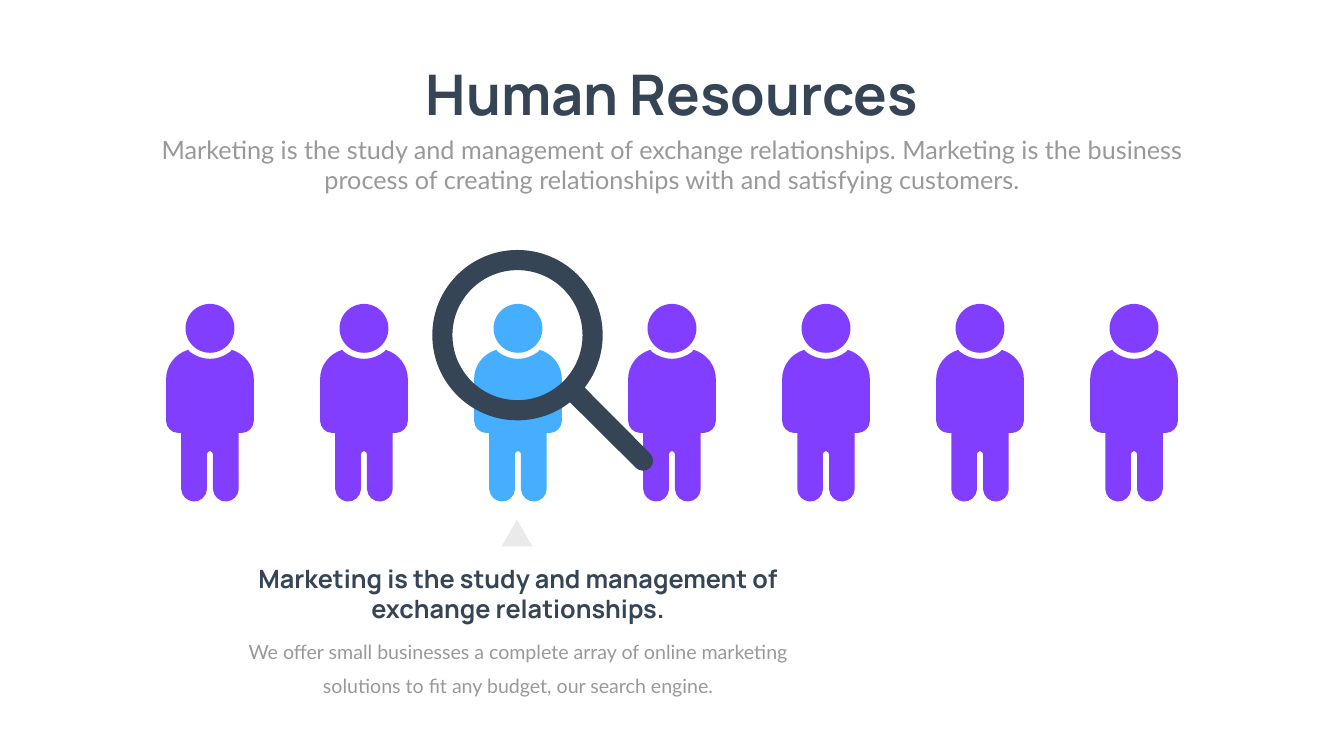
"""Build the Human Resources slide: a row of people with one under a magnifier."""
from dataclasses import dataclass
from itertools import pairwise
from math import cos, radians, sin, tan

from lxml.etree import Element
from pptx import Presentation
from pptx.dml.color import RGBColor
from pptx.enum.shapes import MSO_SHAPE as Preset
from pptx.enum.text import MSO_AUTO_SIZE as AutoSize, PP_ALIGN as Align
from pptx.oxml.ns import qn
from pptx.util import Inches, Pt

Point = tuple[float, float]
Segment = list[Point]

COLORS = {"navy": "364556", "gray": "999999", "purple": "823EFE", "blue": "45AEFF", "pale": "EAEAEA"}
WIDTH, HEIGHT = 26.66, 15
COLUMN, ROW = WIDTH / 100, HEIGHT / 100
PITCH = 3.055
PEOPLE = range(-3, 4)
CHOSEN = -1
PEOPLE_TOP = 40.2 * ROW
HEAD_SIZE = 0.97

BODY_HALF = [
    [(0, 1.09)],
    [(0.14, 1.09), (0.28, 1.04), (0.4, 0.95)],
    [(0.43, 0.91)],
    [(0.69, 0.99), (0.87, 1.22), (0.87, 1.49)],
    [(0.87, 2.32)],
    [(0.87, 2.45), (0.76, 2.56), (0.63, 2.56)],
    [(0.57, 2.56)],
    [(0.57, 3.68)],
    [(0.56, 3.81), (0.46, 3.91), (0.33, 3.92)],
    [(0.19, 3.93), (0.07, 3.82), (0.06, 3.68)],
    [(0.06, 2.98)],
    [(0.06, 2.95), (0.03, 2.92), (0, 2.92)],
]


@dataclass(frozen=True)
class TextBlock:
    """Text centred on a person's place, sized in percent of the slide."""
    text: str
    place: int
    top: float
    width: float
    height: float
    font: str
    size: int
    color: str
    bold: bool = False
    spacing: float = 1.0


TEXTS = [
    TextBlock("Human Resources", 0, 7.6, 40.21, 9.67, "Manrope", 80, "navy", True),
    TextBlock("Marketing is the study and management of exchange relationships. "
              "Marketing is the business process of creating relationships with and "
              "satisfying customers.", 0, 17.4, 78.09, 8.73, "Lato", 36, "gray"),
    TextBlock("Marketing is the study and management of exchange relationships.",
              CHOSEN, 74.2, 45.8, 8.73, "Manrope", 36, "navy", True),
    TextBlock("We offer small businesses a complete array of online marketing solutions "
              "to fit any budget, our search engine.",
              CHOSEN, 82.87, 45.8, 7.93, "Lato", 28, "gray", spacing=1.46),
]


def place_center(place: int) -> float:
    """Return the horizontal centre of a person's place in inches."""
    return WIDTH / 2 + place * PITCH


def paint(shape, color: str) -> None:
    """Give a shape a plain fill without line or shadow."""
    shape.fill.solid()
    shape.fill.fore_color.rgb = RGBColor.from_string(COLORS[color])
    shape.line.fill.background()
    shape.shadow.inherit = False


def arc(center: Point, radius: float, *stops: float) -> list[Segment]:
    """Return a start point and one cubic curve between each two angles."""
    def at(angle: float, pull: float = 0) -> Point:
        across, down = cos(radians(angle)), sin(radians(angle))
        return (center[0] + radius * (across - pull * down),
                center[1] + radius * (down + pull * across))

    segments = [[at(stops[0])]]
    for first, last in pairwise(stops):
        pull = 4 / 3 * tan(radians(last - first) / 4)
        segments.append([at(first, pull), at(last, -pull), at(last)])
    return segments


def body_outline(center: float) -> list[Segment]:
    """Place the right half of a body and append its mirror image."""
    mirrored = []
    for before, segment in reversed(list(pairwise(BODY_HALF))):
        points = [before[-1], *segment[:-1]]
        mirrored.append([(-x, y) for x, y in reversed(points)])
    return [[(center + x, PEOPLE_TOP + y) for x, y in segment]
            for segment in BODY_HALF + mirrored]


def draw_outline(shapes, contours: list[list[Segment]], color: str) -> None:
    """Draw closed contours of lines and cubic curves as one freeform."""
    scaled = [[[(Inches(x), Inches(y)) for x, y in segment] for segment in contour]
              for contour in contours]
    builder = shapes.build_freeform(*scaled[0][0][-1], scale=1.0)
    for index, contour in enumerate(scaled):
        if index:
            builder.move_to(*contour[0][-1])
        builder.add_line_segments([segment[-1] for segment in contour[1:]], close=True)
    shape = builder.convert_to_shape()
    segments = [segment for contour in scaled for segment in contour[1:]]
    edges = list(shape.element.iter(qn("a:lnTo")))
    for edge, segment in zip(edges, segments):
        if len(segment) == 3:
            edge.tag = qn("a:cubicBezTo")
            for index, (x, y) in enumerate(segment[:2]):
                edge.insert(index, Element(qn("a:pt"), x=str(x - shape.left), y=str(y - shape.top)))
    paint(shape, color)


def draw_preset(shapes, preset: Preset, center: float, top: float,
                width: float, height: float, color: str) -> None:
    """Draw a plain preset shape around a horizontal centre."""
    paint(shapes.add_shape(preset, Inches(center - width / 2), Inches(top),
                           Inches(width), Inches(height)), color)


def draw_person(page, place: int) -> None:
    """Draw one grouped person at a place in the row."""
    color = "blue" if place == CHOSEN else "purple"
    center = place_center(place)
    person = page.shapes.add_group_shape().shapes
    draw_outline(person, [body_outline(center)], color)
    draw_preset(person, Preset.OVAL, center, PEOPLE_TOP, HEAD_SIZE, HEAD_SIZE, color)


def draw_magnifier(page) -> None:
    """Draw the lens ring and its round-ended handle."""
    lens = (place_center(CHOSEN) - 0.01, PEOPLE_TOP + 0.62)
    grip = (lens[0] + 2.49, lens[1] + 2.49)
    outside = arc(lens, 1.69, 52, 90, 180, 270, 360, 398) + arc(grip, 0.2, -45, 0, 90, 135)
    inside = arc(lens, 1.29, 360, 270, 180, 90, 0)
    draw_outline(page.shapes, [outside, inside], "navy")


def draw_text(page, block: TextBlock) -> None:
    """Draw one centred text box."""
    width = block.width * COLUMN
    box = page.shapes.add_textbox(Inches(place_center(block.place) - width / 2),
                                  Inches(block.top * ROW), Inches(width),
                                  Inches(block.height * ROW))
    box.text_frame.word_wrap = True
    box.text_frame.auto_size = AutoSize.SHAPE_TO_FIT_TEXT
    para = box.text_frame.paragraphs[0]
    para.text = block.text
    para.alignment = Align.CENTER
    para.line_spacing = block.spacing
    para.font.name = block.font
    para.font.size = Pt(block.size)
    para.font.bold = block.bold
    para.font.color.rgb = RGBColor.from_string(COLORS[block.color])


def main() -> None:
    """Assemble and save the slide."""
    deck = Presentation()
    deck.slide_width, deck.slide_height = Inches(WIDTH), Inches(HEIGHT)
    page = deck.slides.add_slide(deck.slide_layouts[6])
    for block in TEXTS[:2]:
        draw_text(page, block)
    for place in PEOPLE:
        draw_person(page, place)
    draw_magnifier(page)
    for block in TEXTS[2:]:
        draw_text(page, block)
    draw_preset(page.shapes, Preset.ISOSCELES_TRIANGLE, place_center(CHOSEN) - 0.02,
                68.73 * ROW, 2.29 * COLUMN, 3.53 * ROW, "pale")
    deck.save("out.pptx")


if __name__ == "__main__":
    main()
